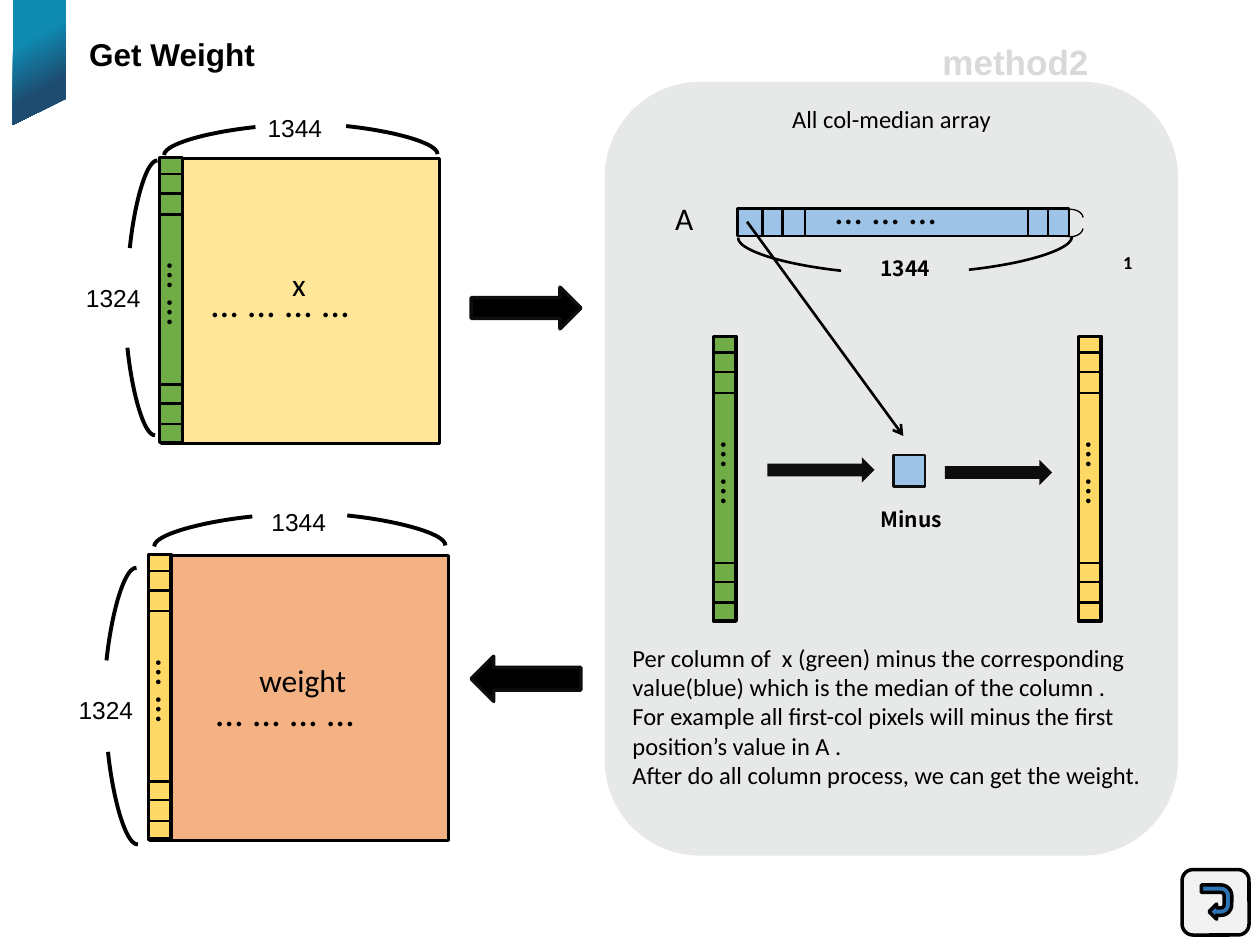
import pptx
import pptx.dml.color
import pptx.enum.shapes
import pptx.enum.text
import pptx.oxml.ns
import pptx.util
from lxml import etree

Cm = pptx.util.Cm
SHAPES = pptx.enum.shapes.MSO_SHAPE
ALIGN = pptx.enum.text.PP_ALIGN
ANCHOR = pptx.enum.text.MSO_ANCHOR
AUTO_SIZE = pptx.enum.text.MSO_AUTO_SIZE

BLACK, NEAR_BLACK = "000000", "0D0D0D"
GREEN, YELLOW, BLUE = "70AD47", "FFD966", "9DC3E6"
COLUMN_WIDTH, COLUMN_HEIGHT = 0.46, 5.74
COLUMN_DIVIDERS = (0.33, 0.72, 1.14, 4.57, 4.95, 5.37)


def colour(hex_string):
    return pptx.dml.color.RGBColor.from_string(hex_string)


def add_text(slide, text, left, top, width, height, size=14, font="Calibri", color=BLACK,
             bold=False, align=ALIGN.LEFT, anchor=ANCHOR.TOP, wrap=True, grow=True,
             rotation=0, spacing=None, line_spacing=None):
    """Add a text box with one paragraph for each line of text; spacing is in points."""
    box = slide.shapes.add_textbox(Cm(left), Cm(top), Cm(width), Cm(height))
    box.rotation = rotation
    frame = box.text_frame
    frame.word_wrap = wrap
    frame.auto_size = AUTO_SIZE.SHAPE_TO_FIT_TEXT if grow else AUTO_SIZE.NONE
    frame.vertical_anchor = anchor
    for index, line in enumerate(text.split("\n")):
        paragraph = frame.add_paragraph() if index else frame.paragraphs[0]
        paragraph.alignment = align
        if line_spacing:
            paragraph.line_spacing = line_spacing
        run = paragraph.add_run()
        run.text = line
        run.font.size = pptx.util.Pt(size)
        run.font.name = font
        run.font.bold = bold
        run.font.color.rgb = colour(color)
        if spacing:
            run.font._element.set("spc", str(spacing * 100))
    return box


def add_dots(slide, text, left, top, width, height=1.19, rotation=0):
    add_text(slide, text, left, top, width, height, size=22, spacing=6,
             wrap=False, rotation=rotation)


def add_shape(slide, kind, left, top, width, height, fill=None, line=None, weight=1.5,
              rotation=0, flip=""):
    """Add a preset shape; flip holds "h", "v" or both."""
    shape = slide.shapes.add_shape(kind, Cm(left), Cm(top), Cm(width), Cm(height))
    shape.shadow.inherit = False
    shape.rotation = rotation
    if fill:
        shape.fill.solid()
        shape.fill.fore_color.rgb = colour(fill)
    else:
        shape.fill.background()
    if line:
        shape.line.color.rgb = colour(line)
        shape.line.width = pptx.util.Pt(weight)
    else:
        shape.line.fill.background()
    for axis in flip:
        shape.element.spPr.xfrm.set("flip" + axis.upper(), "1")
    return shape


def add_arc(slide, left, top, width, height, rotation, flip="", weight=2.25):
    add_shape(slide, SHAPES.ARC, left, top, width, height, line=BLACK, weight=weight,
              rotation=rotation, flip=flip)


def add_line(slide, x1, y1, x2, y2, arrow=False):
    connector = slide.shapes.add_connector(
        pptx.enum.shapes.MSO_CONNECTOR.STRAIGHT, Cm(x1), Cm(y1), Cm(x2), Cm(y2))
    connector.line.color.rgb = colour(BLACK)
    connector.line.width = pptx.util.Pt(1.5)
    if arrow:
        line = connector.line._get_or_add_ln()
        etree.SubElement(line, pptx.oxml.ns.qn("a:tailEnd"), type="arrow")
    etree.SubElement(connector.element.spPr, pptx.oxml.ns.qn("a:effectLst"))


def add_ribbon(slide, left, top, width, height):
    builder = slide.shapes.build_freeform(Cm(left), Cm(top))
    right = left + width
    corners = [(right, top), (right, top + 0.79 * height), (left, top + height)]
    builder.add_line_segments([(Cm(x), Cm(y)) for x, y in corners], close=True)
    ribbon = builder.convert_to_shape()
    ribbon.shadow.inherit = False
    ribbon.line.fill.background()
    ribbon.fill.gradient()
    ribbon.fill.gradient_angle = 300
    stops = ((0.32, "0F8AB1"), (0.7, "1E4B70"))
    for stop, (position, color) in zip(ribbon.fill.gradient_stops, stops):
        stop.position = position
        stop.color.rgb = colour(color)


def add_column(slide, left, top, fill):
    """Add a tall pixel column with cells at both ends and dots between."""
    add_shape(slide, SHAPES.RECTANGLE, left, top, COLUMN_WIDTH, COLUMN_HEIGHT, fill, BLACK, 2)
    for offset in COLUMN_DIVIDERS:
        add_line(slide, left + COLUMN_WIDTH, top + offset, left, top + offset)
    add_dots(slide, "……", left - 0.79, top + 2.53, 2.51, rotation=90)


def add_matrix(slide, left, top, width, fill, column_fill, name, name_left, dots,
               arc_sizes, arcs, labels):
    """Add a matrix with braces; dots, arcs and labels are offsets from its corner."""
    add_shape(slide, SHAPES.RECTANGLE, left, top, width, COLUMN_HEIGHT, fill, BLACK)
    turns = ((354, "h"), (6, ""), (264, "h"), (276, ""))
    for index, ((x, y), (rotation, flip)) in enumerate(zip(arcs, turns)):
        add_arc(slide, left + x, top + y, *arc_sizes[index // 2], rotation, flip)
    for text, (x, y) in zip(("1344", "1324"), labels):
        add_text(slide, text, left + x, top + y, 1.73, 0.99, font="Arial",
                 align=ALIGN.CENTER, anchor=ANCHOR.MIDDLE, grow=False)
    add_text(slide, name, left + name_left, top + 2.01, 2.5, 1.02, size=18)
    add_column(slide, left - 0.03, top - 0.02, column_fill)
    add_dots(slide, "…………", left + dots[0], top + dots[1], 4.5)


def add_median_array(slide, left, top, width, height):
    add_shape(slide, SHAPES.RECTANGLE, left, top, width, height, BLUE, BLACK)
    for x in (0.5, 0.9, 1.36, 5.85, 6.26):
        add_line(slide, left + x, top, left + x, top + height)
    add_arc(slide, left, top + 0.37, 4.27, 0.89, 6, "hv", 1.5)
    add_arc(slide, left + 2.48, top + 0.35, 4.27, 0.89, 354, "v", 1.5)
    add_arc(slide, left + 6.36, top + 0.14, 0.61, 0.43, 10, "v", 0.75)
    add_arc(slide, left + 6.36, top + 0.02, 0.61, 0.43, 170, "hv", 0.75)
    add_dots(slide, "………", left + 1.72, top - 0.57, 4.55, 1.55)
    add_text(slide, "A", left - 1.51, top - 0.31, 0.94, 1.17, size=18)
    add_text(slide, "1344", left + 2.63, top + 0.83, 1.98, 0.99, size=12,
             font="Noto Sans CJK SC", bold=True, wrap=False)
    add_text(slide, "1", left + 7.52, top + 0.73, 0.94, 0.91, size=10.5, bold=True, wrap=False)


def add_panel(slide, left, top, width, height):
    add_shape(slide, SHAPES.ROUNDED_RECTANGLE, left, top, width, height, "E7E9E9")
    add_text(slide, "All col-median array", left + 3.53, top + 0.33, 9.22, 0.86)
    add_median_array(slide, left + 2.68, top + 2.55, 6.68, 0.56)
    add_column(slide, left + 2.19, top + 5.13, GREEN)
    add_column(slide, left + 9.55, top + 5.13, YELLOW)
    add_line(slide, left + 2.87, top + 2.82, left + 6.02, top + 7.14, arrow=True)
    add_shape(slide, SHAPES.RECTANGLE, left + 5.82, top + 7.52, 0.64, 0.64, BLUE, NEAR_BLACK)
    for x, y in ((3.28, 7.57), (6.86, 7.62)):
        add_shape(slide, SHAPES.RIGHT_ARROW, left + x, top + y, 2.16, 0.51, NEAR_BLACK)
    add_text(slide, "Minus", left + 5.31, top + 8.43, 1.78, 0.76, size=12,
             font="Noto Sans CJK SC", bold=True, wrap=False)
    add_text(slide, "Per column of  x (green) minus the corresponding\n"
             "value(blue) which is the median of the column .\n"
             "For example all first-col pixels will minus the first position’s value in A .\n"
             "After do all column process, we can get the weight.",
             left + 0.31, top + 11.18, 11.02, 4.45)


def add_return_button(slide, left, top, width, height):
    add_shape(slide, SHAPES.ROUNDED_RECTANGLE, left, top, width, height, "F2F2F2", BLACK, 2)
    arrow = add_shape(slide, SHAPES.U_TURN_ARROW, left + 0.35, top + 0.35, 0.69, 0.61,
                      "2E75B6", BLACK, 2, rotation=90)
    arrow.adjustments[3] = 0.352
    arrow.adjustments[4] = 0.75


def main():
    presentation = pptx.Presentation()
    presentation.slide_width, presentation.slide_height = Cm(25.4), Cm(19.05)
    slide = presentation.slides.add_slide(presentation.slide_layouts[6])
    add_ribbon(slide, 0.26, 0, 1.07, 2.52)
    add_text(slide, "Get Weight", 0.69, 0.36, 5.56, 1.24, size=18, font="Arial", bold=True,
             align=ALIGN.CENTER, line_spacing=1.3)
    add_panel(slide, 12.19, 1.65, 11.56, 15.6)
    add_matrix(slide, 3.25, 3.2, 5.61, "FFE699", GREEN, "x", 2.39, (0.76, 2.31),
               arc_sizes=((3.78, 0.74), (3.63, 0.74)),
               arcs=((0.05, -0.64), (1.8, -0.66), (-2.13, 3.4), (-2.08, 1.47)),
               labels=((1.83, -1.12), (-1.83, 2.31)))
    add_matrix(slide, 3.02, 11.2, 6.02, "F4B183", YELLOW, "weight", 1.96, (1.09, 2.54),
               arc_sizes=((4.06, 0.79), (3.84, 0.81)),
               arcs=((0.08, -0.79), (1.91, -0.81), (-2.36, 3.51), (-2.39, 1.75)),
               labels=((2.14, -1.18), (-1.75, 2.61)))
    for top, height, flip in ((5.79, 0.84, ""), (13.23, 0.91, "h")):
        add_shape(slide, SHAPES.RIGHT_ARROW, 9.5, top, 2.21, height, BLACK, NEAR_BLACK, 2,
                  flip=flip)
    add_return_button(slide, 23.83, 17.53, 1.35, 1.32)
    add_text(slide, "method2", 18.75, 0.69, 3.48, 1.12, size=20, font="Arial",
             color="D9D9D9", bold=True, wrap=False)
    presentation.save("out.pptx")


if __name__ == "__main__":
    main()
